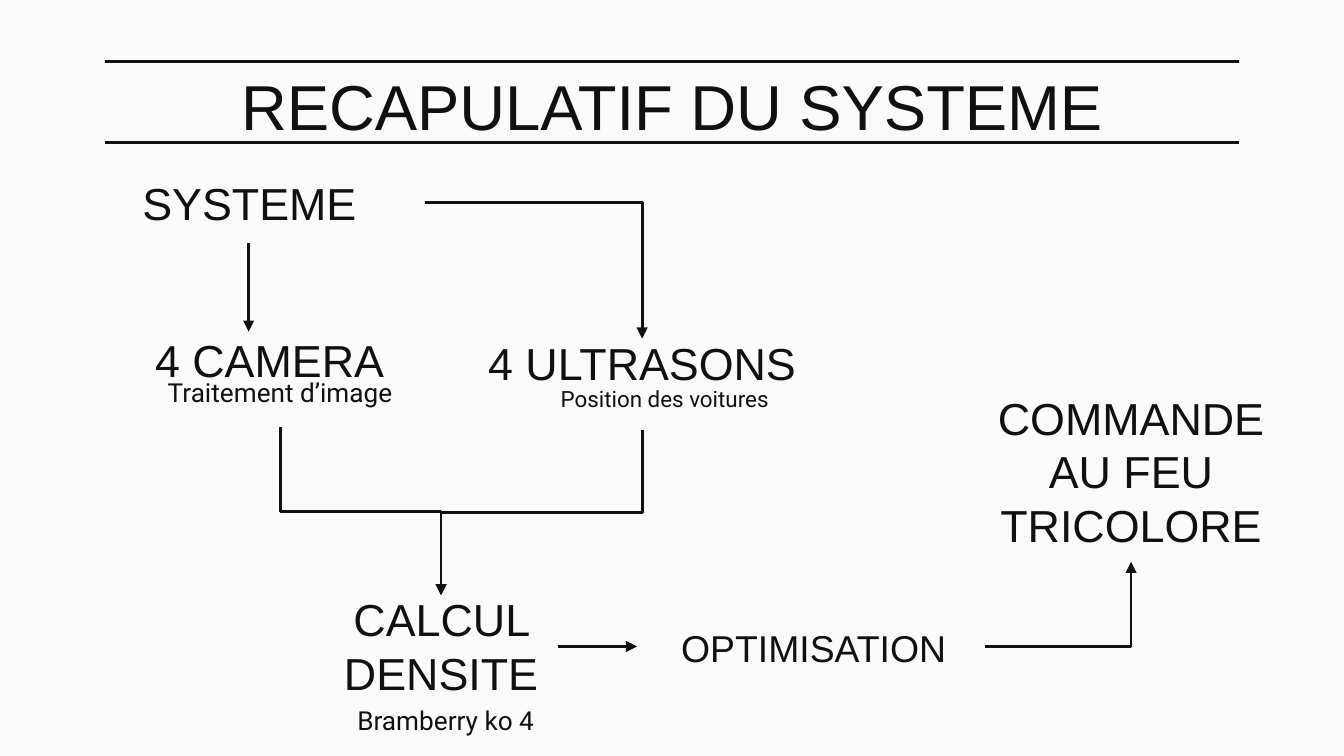
import pptx
import pptx.dml.color
import pptx.enum.shapes
import pptx.enum.text
import pptx.oxml
import pptx.oxml.ns
import pptx.util
from pptx.util import Cm

INK = "0F1010"
PAPER = "FAFAFA"
NODE_WIDTH = 6.63
HEADING_HEIGHT = 0.89
CAPTION_HEIGHT = 1.32
TOP, LEFT, BOTTOM, RIGHT = range(4)
STRAIGHT = pptx.enum.shapes.MSO_CONNECTOR.STRAIGHT
ELBOW = pptx.enum.shapes.MSO_CONNECTOR.ELBOW


def color(value):
    return pptx.dml.color.RGBColor.from_string(value)


def format_text(shape, text, size, font, anchor):
    frame = shape.text_frame
    frame.word_wrap = True
    frame.auto_size = pptx.enum.text.MSO_AUTO_SIZE.NONE
    frame.vertical_anchor = anchor
    frame.margin_left = frame.margin_right = Cm(0.25)
    frame.margin_top = frame.margin_bottom = Cm(0.25)
    frame.text = text
    paragraph = frame.paragraphs[0]
    paragraph.alignment = pptx.enum.text.PP_ALIGN.CENTER
    paragraph.font.size = pptx.util.Pt(size)
    paragraph.font.name = font
    paragraph.font.color.rgb = color(INK)


def add_text(slide, left, top, text, size=24, font="Arial",
             width=NODE_WIDTH, height=HEADING_HEIGHT):
    shape = slide.shapes.add_textbox(Cm(left), Cm(top), Cm(width), Cm(height))
    format_text(shape, text, size, font, pptx.enum.text.MSO_ANCHOR.MIDDLE)
    return shape


def add_caption(slide, left, top, text, size=14):
    return add_text(slide, left, top, text, size, "Roboto", height=CAPTION_HEIGHT)


def add_line(slide, start, end, kind=STRAIGHT, arrow=True):
    connector = slide.shapes.add_connector(kind, *(Cm(value) for value in start + end))
    connector.line.color.rgb = color(INK)
    connector.line.width = pptx.util.Pt(1.5)
    if arrow:
        tail = pptx.oxml.parse_xml(
            f'<a:tailEnd {pptx.oxml.ns.nsdecls("a")} type="triangle"/>')
        outline = connector._element.spPr.find(pptx.oxml.ns.qn("a:ln"))
        outline.append(tail)
    effects = pptx.oxml.parse_xml(f'<a:effectLst {pptx.oxml.ns.nsdecls("a")}/>')
    connector._element.spPr.append(effects)
    return connector


def add_corner(slide, start, end):
    """One bend: across, then up or down."""
    connector = add_line(slide, start, end, ELBOW)
    geometry = connector._element.spPr.find(pptx.oxml.ns.qn("a:prstGeom"))
    geometry.set("prst", "bentConnector2")
    return connector


def turn_upright(connector):
    """Turn a joined elbow so that it runs down, across and down."""
    goes_left = connector.begin_x > connector.end_x
    width, height = connector.width, connector.height
    connector.left += (width - height) // 2
    connector.top += (height - width) // 2
    connector.width, connector.height = height, width
    transform = connector._element.spPr.find(pptx.oxml.ns.qn("a:xfrm"))
    transform.set("rot", str((90 if goes_left else 270) * 60000))
    transform.set("flipH", "0" if goes_left else "1")


def draw_title(slide, left, top, width, height):
    title = slide.shapes.title
    title.left, title.top, title.width, title.height = (
        Cm(left), Cm(top), Cm(width), Cm(height))
    format_text(title, "RECAPULATIF DU SYSTEME", 34, "Arial",
                pptx.enum.text.MSO_ANCHOR.TOP)
    # Rules above and below the title
    for offset in (0.15, 1.67):
        add_line(slide, (left, top + offset), (left + width, top + offset), arrow=False)


def draw_sensors(slide, left, top):
    """System and its two kinds of sensor; returns the camera caption."""
    system = add_text(slide, left, top, "SYSTEME")
    add_text(slide, left + 0.38, top + 2.97, "4 CAMERA")
    camera = add_caption(slide, left + 0.58, top + 3.38, "Traitement d’image")
    ultrasound = add_text(slide, left + 7.42, top + 3.02, "4 ULTRASONS")
    add_caption(slide, left + 7.85, top + 3.5, "Position des voitures", 12)

    # System to sensors
    add_line(slide, (left + 3.3, top + 1.22), (left + 3.3, top + 2.89))
    branch = add_corner(slide, (left + NODE_WIDTH, top + 0.45), (left + 10.74, top + 3.02))
    branch.begin_connect(system, RIGHT)
    branch.end_connect(ultrasound, TOP)
    return camera


def draw_processing(slide, left, top, camera):
    """Density, optimisation and traffic light, fed by the sensors."""
    density = add_text(slide, left, top, "CALCUL DENSITE", height=1.9)
    add_caption(slide, left + 0.09, top + 1.7, "Bramberry ko 4")
    add_text(slide, left + 6.74, top + 0.54, "OPTIMISATION", 20, width=7.24)
    light = add_text(slide, left + 13.04, top - 4.06, "COMMANDE AU FEU TRICOLORE",
                     height=3.43)

    # Sensors to density
    target = (left + NODE_WIDTH / 2, top)
    from_camera = add_line(slide, (left + 0.28, top - 3.17), target, ELBOW)
    from_camera.begin_connect(camera, BOTTOM)
    from_ultrasound = add_line(slide, (left + 7.12, top - 3.12), target, ELBOW)
    for connector in (from_camera, from_ultrasound):
        connector.end_connect(density, TOP)
        turn_upright(connector)

    # Density to optimisation to traffic light
    middle = top + 0.97
    add_line(slide, (left + 5.52, middle), (left + 7.02, middle))
    command = add_corner(slide, (left + 13.6, middle), (left + 16.36, top - 0.63))
    command.end_connect(light, BOTTOM)


def main():
    presentation = pptx.Presentation()
    presentation.slide_width, presentation.slide_height = Cm(25.4), Cm(14.29)
    slide = presentation.slides.add_slide(presentation.slide_layouts[5])
    slide.background.fill.solid()
    slide.background.fill.fore_color.rgb = color(PAPER)

    draw_title(slide, 1.98, 1.02, 21.44, 1.6)
    camera = draw_sensors(slide, 1.4, 3.38)
    draw_processing(slide, 5.02, 11.25, camera)
    presentation.save("out.pptx")


if __name__ == "__main__":
    main()
